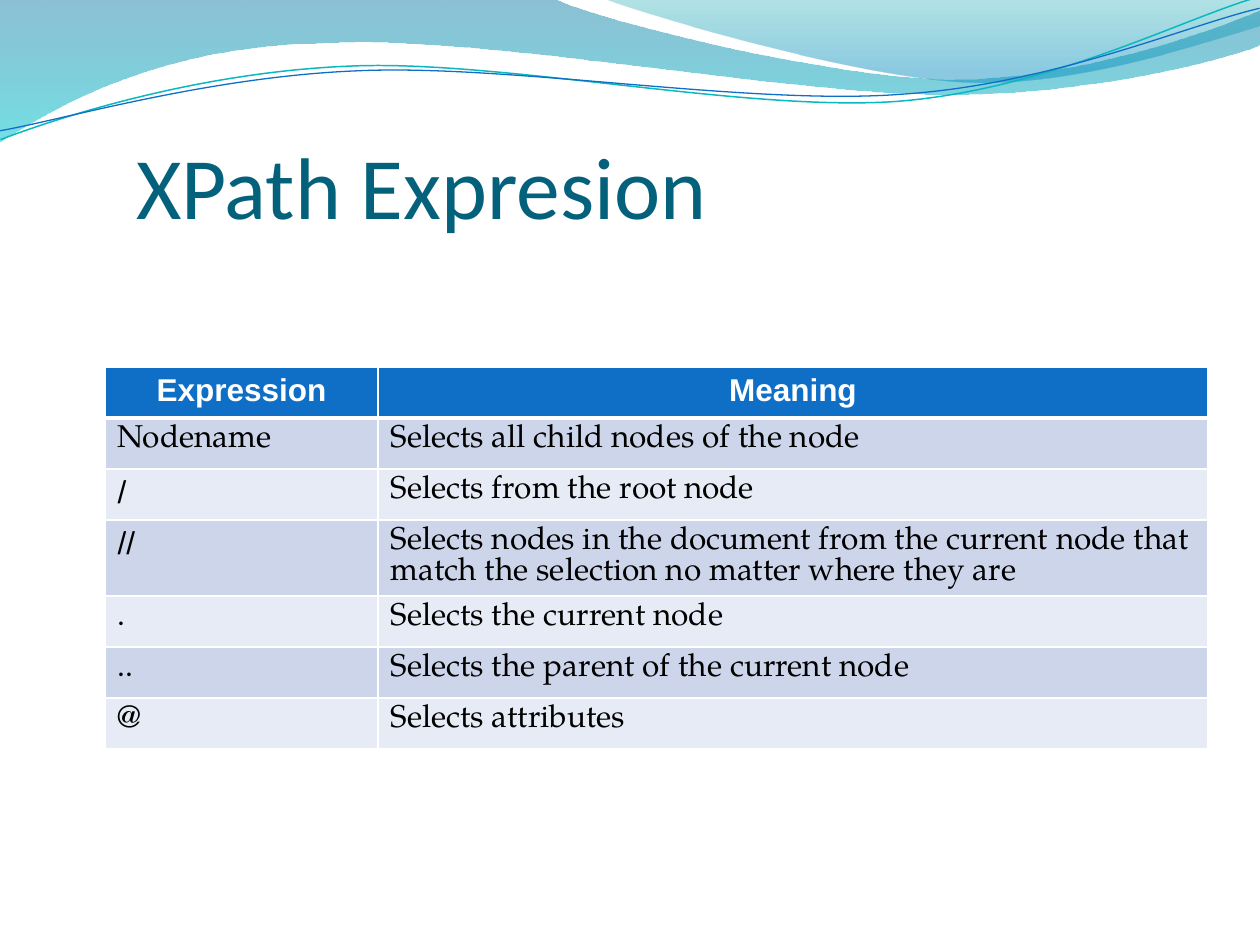
from lxml.etree import SubElement
from pptx import Presentation
from pptx.dml.color import RGBColor
from pptx.enum.text import MSO_ANCHOR as Anchor, MSO_AUTO_SIZE as AutoSize, PP_ALIGN as Align
from pptx.oxml.ns import qn
from pptx.util import Emu, Pt

EMU_PER_PX = 914400 / 126
TITLE_ONLY = 5

COLORS = {
    "title": "04617B", "header": "0F6FC6", "header_text": "FFFFFF", "text": "000000",
    "border": "FFFFFF", "odd_row": "CCD5EA", "even_row": "E7EBF5",
    "deep_blue": "0074A1", "cyan": "00C6CF", "teal": "00A1A9", "blue": "008BBF",
    "teal_line": "0AB8BF", "blue_line": "0F6FC6",
}
TITLE_FONT, HEADER_FONT, BODY_FONT = "Calibri", "Arial", "TeX Gyre Pagella"

# Wave outlines: a start point, then segments of one point (line) or three (cubic curve)
BROAD_WAVE = [
    (0, 0), [(554, -1)],
    [(600, 21), (837, 79), (955, 79)], [(1075, 79), (1207, 33), (1260, 11)],
    [(1261, 45)],
    [(1239, 55), (1096, 96), (940, 94)], [(784, 94), (481, 35), (324, 43)],
    [(163, 45), (58, 105), (-1, 142)],
]
RIGHT_WAVE = [
    (604, -1),
    [(641, 14), (859, 78), (969, 82)], [(1079, 86), (1211, 40), (1260, 26)],
    [(1260, 0)],
]
# The thin curves are laid out level, then tilted
CURVE_TILT = 357.3
TEAL_CURVE = [
    (-2, 110), [(59, 90), (199, 52), (350, 53)],
    [(499, 53), (745, 118), (896, 114)], [(1049, 109), (1184, 45), (1260, 27)],
]
BLUE_CURVE = [
    (-2, 101), [(57, 94), (207, 57), (357, 58)],
    [(509, 58), (750, 112), (902, 107)], [(1052, 104), (1187, 52), (1262, 38)],
]

HEADINGS = ("Expression", "Meaning")
EXPRESSIONS = [
    ("Nodename", "Selects all child nodes of the node"),
    ("/", "Selects from the root node"),
    ("//", "Selects nodes in the document from the current node that "
           "match the selection no matter where they are"),
    (".", "Selects the current node"),
    ("..", "Selects the parent of the current node"),
    ("@", "Selects attributes"),
]


def px(length):
    return Emu(round(length * EMU_PER_PX))


def color(name):
    return RGBColor.from_string(COLORS[name])


class SlideBuilder:
    def __init__(self, slide):
        self.slide = slide
        self.shapes = slide.shapes

    def style(self, paragraph, font, size, color_name, bold=False, align=Align.LEFT):
        paragraph.alignment = align
        paragraph.font.name = font
        paragraph.font.size = Pt(size)
        paragraph.font.bold = bold
        paragraph.font.color.rgb = color(color_name)

    def outline(self, outline, close):
        (left, top), *segments = outline
        builder = self.shapes.build_freeform(px(left), px(top), scale=1.0)
        builder.add_line_segments([(px(x), px(y)) for segment in segments for x, y in segment],
                                  close=close)
        shape = builder.convert_to_shape()
        shape.shadow.inherit = False

        # Join each run of three points into one cubic curve
        geometry = next(shape._element.spPr.iter(qn("a:path")))
        lines = iter(geometry.findall(qn("a:lnTo")))
        for segment in segments:
            curve = next(lines)
            if len(segment) == 3:
                curve.tag = qn("a:cubicBezTo")
                for line in (next(lines), next(lines)):
                    curve.append(line[0])
                    geometry.remove(line)
        return shape

    def wave(self, outline, stops):
        """Fill an outline from top to bottom; stops are (position, color, opacity %)."""
        shape = self.outline(outline, close=True)
        shape.line.fill.background()
        shape.fill.gradient()
        shape.fill.gradient_angle = 270
        for stop, (position, name, _) in zip(shape.fill.gradient_stops, stops):
            stop.position = position
            stop.color.rgb = color(name)
        fills = shape._element.spPr.iter(qn("a:srgbClr"))
        for fill, (_, _, opacity) in zip(fills, stops):
            SubElement(fill, qn("a:alpha"), val=str(opacity * 1000))

    def curve(self, outline, color_name, width):
        shape = self.outline(outline, close=False)
        shape.rotation = CURVE_TILT
        shape.fill.background()
        shape.line.color.rgb = color(color_name)
        shape.line.width = Pt(width)

    def title(self, text, left, top, width, height):
        title = self.shapes.title
        self.shapes._spTree.append(title._element)  # in front of the waves
        title.left, title.top, title.width, title.height = map(px, (left, top, width, height))
        frame = title.text_frame
        frame.text = text
        frame.word_wrap = True
        frame.auto_size = AutoSize.NONE
        frame.vertical_anchor = Anchor.BOTTOM
        frame.margin_left = frame.margin_right = frame.margin_bottom = 0
        self.style(frame.paragraphs[0], TITLE_FONT, 50, "title")

    def borders(self, cell, **widths):
        properties = cell._tc.get_or_add_tcPr()
        for place, (side, width) in enumerate(widths.items()):
            line = SubElement(properties, qn(f"a:ln{side}"), w=str(Pt(width)))
            fill = SubElement(line, qn("a:solidFill"))
            SubElement(fill, qn("a:srgbClr"), val=COLORS["border"])
            properties.insert(place, line)

    def cell(self, cell, text, fill, **style):
        cell.text = text
        cell.fill.solid()
        cell.fill.fore_color.rgb = color(fill)
        self.style(cell.text_frame.paragraphs[0], size=18, **style)

    def table(self, headings, rows, left, top, widths, row_height, height):
        frame = self.shapes.add_table(len(rows) + 1, len(widths), px(left), px(top),
                                      px(sum(widths)), px(height))
        table = frame.table
        for column, width in zip(table.columns, widths):
            column.width = px(width)
        for row in table.rows:
            row.height = px(row_height)
        frame.height = px(height)  # leaves room for the row that wraps
        for c, heading in enumerate(headings):
            cell = table.cell(0, c)
            self.cell(cell, heading, "header", font=HEADER_FONT,
                      color_name="header_text", bold=True, align=Align.CENTER)
            self.borders(cell, L=1, R=1, T=1, B=3)
        for r, row in enumerate(rows, start=1):
            for c, text in enumerate(row):
                font = HEADER_FONT if text in ("/", "//") else BODY_FONT
                self.cell(table.cell(r, c), text, "odd_row" if r % 2 else "even_row",
                          font=font, color_name="text")


def main():
    deck = Presentation()
    deck.slide_width, deck.slide_height = px(1260), px(945)
    page = SlideBuilder(deck.slides.add_slide(deck.slide_layouts[TITLE_ONLY]))

    # Waves along the top
    page.wave(BROAD_WAVE, [(0, "deep_blue", 45), (1, "cyan", 55)])
    page.wave(RIGHT_WAVE, [(0, "teal", 30), (0.8, "blue", 45)])
    page.curve(TEAL_CURVE, "teal_line", 0.85)
    page.curve(BLUE_CURVE, "blue_line", 0.75)

    # Title
    page.title("XPath Expresion", 136, 26, 1124, 211)

    # Table of expressions
    page.table(HEADINGS, EXPRESSIONS, 105, 367, widths=(273, 830), row_height=51, height=394)

    deck.save("out.pptx")


if __name__ == "__main__":
    main()
